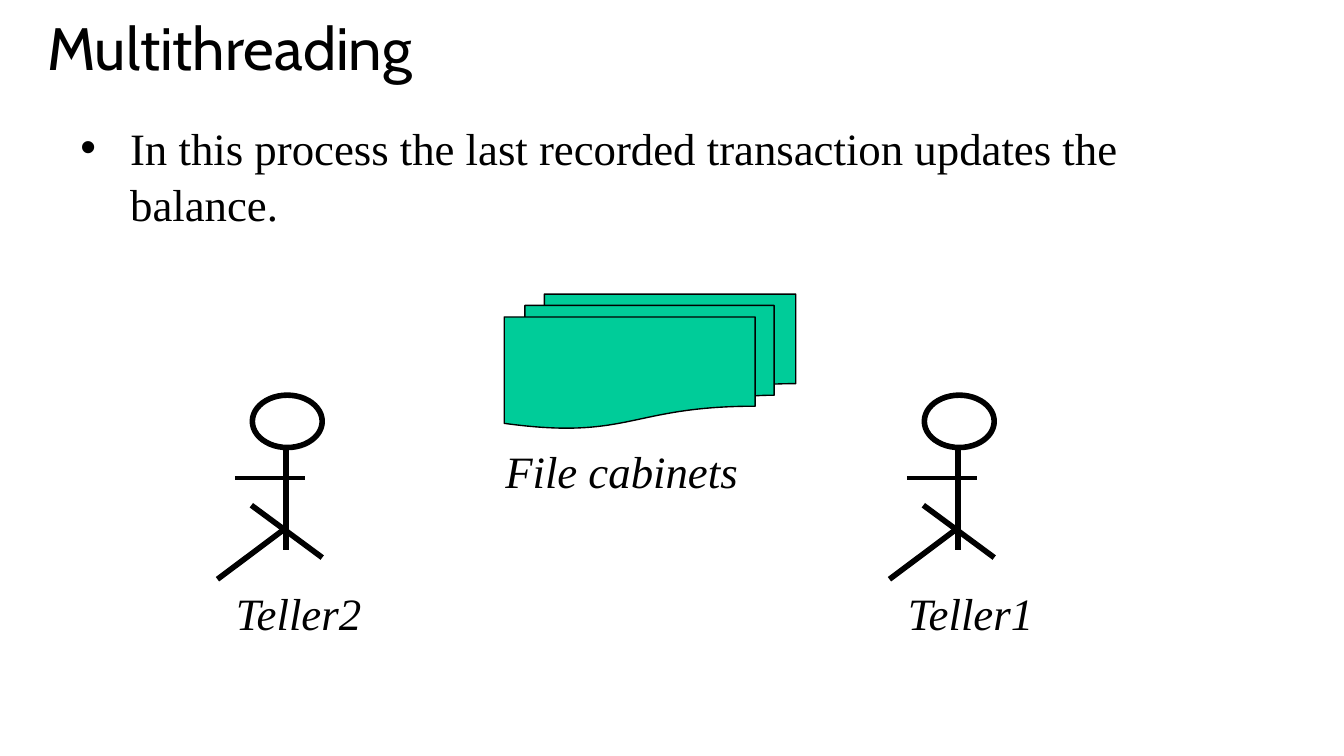
import pptx
import pptx.dml.color
import pptx.enum.shapes
import pptx.enum.text
import pptx.oxml.ns
import pptx.util
from lxml import etree

Cm = pptx.util.Cm
Pt = pptx.util.Pt
MSO_SHAPE = pptx.enum.shapes.MSO_SHAPE
MSO_ANCHOR = pptx.enum.text.MSO_ANCHOR
qn = pptx.oxml.ns.qn

BLACK = pptx.dml.color.RGBColor(0x00, 0x00, 0x00)
WHITE = pptx.dml.color.RGBColor(0xFF, 0xFF, 0xFF)
GREEN = pptx.dml.color.RGBColor(0x00, 0xCC, 0x99)

# Content, all lengths in centimetres
TITLE = "Multithreading"
BULLET = "In this process the last recorded transaction updates the balance."
CABINETS = "File cabinets"
TELLERS = [("Teller2", 4.11), ("Teller1", 16.81)]  # label, left edge of figure

# Stick figure, measured from its left edge and the top of its head
FIGURE_TOP = 7.47
HEAD = (0.66, 0, 1.32, 0.99)
LIMBS = [  # start, end, line width in points
    ((1.3, 0.94), (1.3, 2.92), 3),
    ((1.32, 2.49), (0, 3.48), 3),
    ((0.33, 1.57), (1.65, 1.57), 2.25),
    ((1.98, 3.07), (0.64, 2.08), 3),
]
LABEL_OFFSET = 0.1
LABEL_TOP = 10.95


def write_text(shape, text, *, font="Times New Roman", size=24, italic=False,
               anchor=MSO_ANCHOR.TOP, bullet=False):
    frame = shape.text_frame
    frame.word_wrap = True
    frame.auto_size = pptx.enum.text.MSO_AUTO_SIZE.NONE
    frame.vertical_anchor = anchor
    frame.margin_left = frame.margin_right = Cm(0.25)
    frame.margin_top = frame.margin_bottom = Cm(0.13)
    paragraph = frame.paragraphs[0]
    paragraph.text = text
    paragraph.alignment = pptx.enum.text.PP_ALIGN.LEFT
    if bullet:
        paragraph.line_spacing = 1.05
        properties = paragraph._p.get_or_add_pPr()
        properties.set("marL", str(Cm(0.94)))
        properties.set("indent", str(-Cm(0.94)))
        etree.SubElement(properties, qn("a:buFont"), typeface="Arial")
        etree.SubElement(properties, qn("a:buChar"), char="•")
    run_font = paragraph.runs[0].font
    run_font.name = font
    run_font.size = Pt(size)
    run_font.italic = italic
    run_font.color.rgb = BLACK


def add_text(slide, box, text, **text_format):
    shape = slide.shapes.add_textbox(*map(Cm, box))
    write_text(shape, text, **text_format)


def add_filled(shapes, kind, box, fill, width):
    shape = shapes.add_shape(kind, *map(Cm, box))
    shape.shadow.inherit = False
    shape.fill.solid()
    shape.fill.fore_color.rgb = fill
    shape.line.color.rgb = BLACK
    shape.line.width = Pt(width)


def add_figure(slide, left):
    shapes = slide.shapes.add_group_shape().shapes
    x, y, width, height = HEAD
    add_filled(shapes, MSO_SHAPE.OVAL,
               (left + x, FIGURE_TOP + y, width, height), WHITE, 3)
    for (x1, y1), (x2, y2), weight in LIMBS:
        limb = shapes.add_connector(
            pptx.enum.shapes.MSO_CONNECTOR.STRAIGHT,
            Cm(left + x1), Cm(FIGURE_TOP + y1),
            Cm(left + x2), Cm(FIGURE_TOP + y2))
        limb.line.color.rgb = BLACK
        limb.line.width = Pt(weight)
        etree.SubElement(limb._element.spPr, qn("a:effectLst"))


def main():
    presentation = pptx.Presentation()
    presentation.slide_width = Cm(25.4)
    presentation.slide_height = Cm(14.29)
    slide = presentation.slides.add_slide(presentation.slide_layouts[5])

    # Title and bullet
    title = slide.shapes.title
    title.left, title.top, title.width, title.height = map(
        Cm, (0.64, 0, 24.13, 1.75))
    write_text(title, TITLE, font="Cabin", size=32, anchor=MSO_ANCHOR.MIDDLE)
    add_text(slide, (1.27, 2.1, 22.43, 11.1), BULLET, bullet=True)

    # File cabinets
    add_filled(slide.shapes, MSO_SHAPE.FLOWCHART_MULTIDOCUMENT,
               (9.53, 5.56, 5.51, 2.54), GREEN, 0.75)
    add_text(slide, (9.3, 8.26, 5, 1.28), CABINETS, italic=True)

    # Tellers
    for name, left in TELLERS:
        add_figure(slide, left)
        add_text(slide, (left + LABEL_OFFSET, LABEL_TOP, 2.95, 1.28), name,
                 italic=True)

    presentation.save("out.pptx")


if __name__ == "__main__":
    main()
